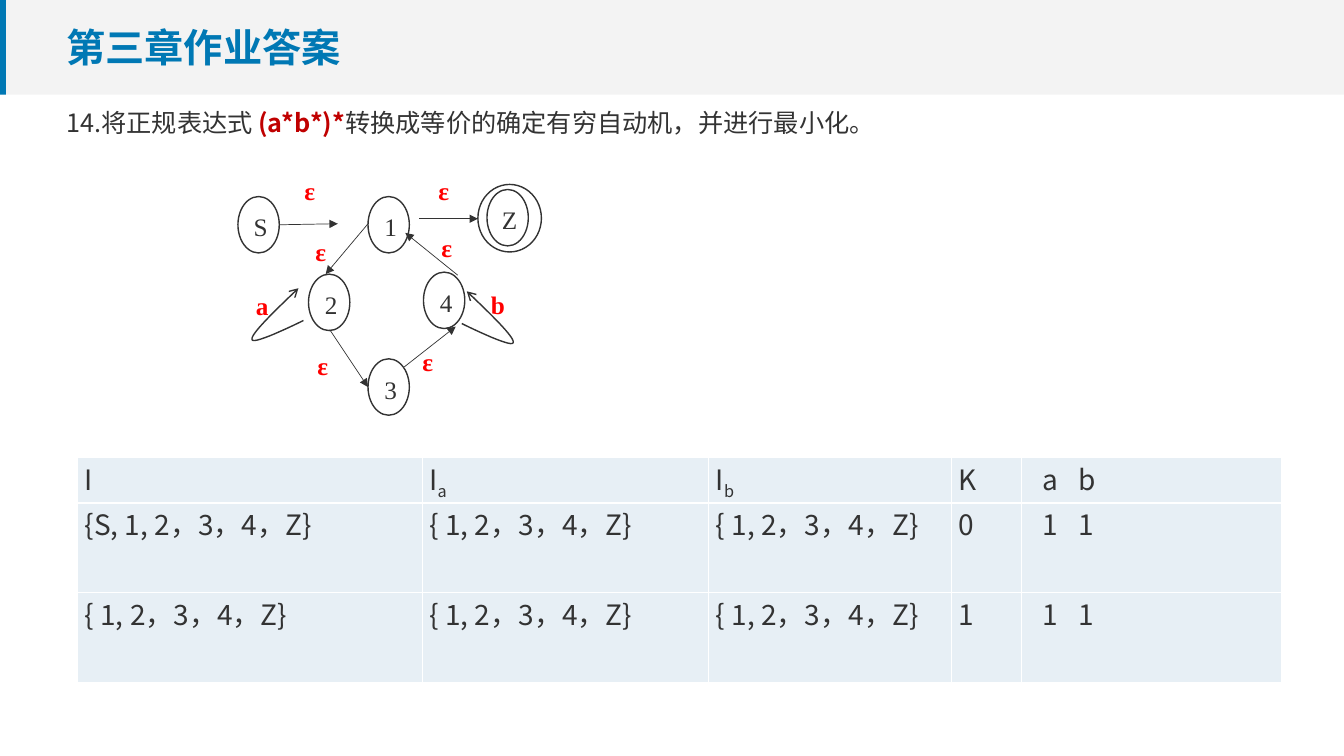
import pptx
import pptx.dml.color
import pptx.enum.shapes
import pptx.enum.text
import pptx.oxml
import pptx.oxml.ns
import pptx.util
from lxml import etree

# Content
TITLE = "第三章作业答案"
QUESTION = [("14.将正规表达式", "text", False),
            (" (a*b*)*", "formula", True),
            ("转换成等价的确定有穷自动机，并进行最小化。", "text", False)]
STATE_SIZE = (0.41, 0.56)
STATES = {"S": (2.36, 1.95), "1": (3.65, 1.95), "Z": (4.83, 1.88),
          "2": (3.06, 2.72), "4": (4.2, 2.7), "3": (3.65, 3.56)}
FINAL_RING = (4.74, 1.83, 0.63, 0.67)
ARROWS = [((2.77, 2.23), (3.35, 2.22)), ((4.16, 2.17), (4.74, 2.17)),
          ((3.65, 2.22), (3.23, 2.72)), ((3.27, 3.27), (3.65, 3.84)),
          ((4.01, 3.64), (4.52, 3.24)), ((4.54, 2.73), (4.02, 2.31))]
EDGE_LABELS = [("ε", 2.92, 1.69), ("ε", 4.25, 1.69), ("ε", 3.03, 2.3),
               ("ε", 3.05, 3.43), ("ε", 4.09, 3.39), ("ε", 4.28, 2.26),
               ("a", 2.44, 2.83), ("b", 4.77, 2.82)]
# Self-loops: start point and the side they bulge to (-1 left, 1 right)
LOOPS = [((2.96, 2.86), -1), ((4.63, 2.89), 1)]
LOOP_CURVES = [[(0, 0), (0.24, 0.23), (0.48, 0.46), (0.46, 0.51)],
               [(0.46, 0.51), (0.45, 0.57), (-0.05, 0.32), (-0.05, 0.32)]]
CURVE_STEPS = 16
SUBSET = "{ 1, 2，3，4，Z}"
TABLE = [["I", "I_a", "I_b", "K", "a\tb"],
         ["{S, 1, 2，3，4，Z}", SUBSET, SUBSET, "0", "1\t1"],
         [SUBSET, SUBSET, SUBSET, "1", "1\t1"]]
TABLE_LEFT, TABLE_TOP = 0.77, 4.54
COLUMN_WIDTHS = [3.42, 2.84, 2.41, 0.69, 2.58]
ROW_HEIGHTS = [0.45, 0.89, 0.89]
TARGET_INDENT, TARGET_TAB = 0.14, 0.69

COLORS = {"band": "F3F3F3", "accent": "0078B4", "text": "333333",
          "formula": "C00000", "label": "FF0000", "cell": "E7EFF5",
          "border": "FFFFFF"}
SANS, SERIF = "Noto Sans CJK SC", "Times New Roman"
WIDTH, HEIGHT, BAND_HEIGHT = 13.33, 7.5, 0.94

Inches, Pt = pptx.util.Inches, pptx.util.Pt
SHAPE = pptx.enum.shapes.MSO_SHAPE
ALIGN, ANCHOR = pptx.enum.text.PP_ALIGN, pptx.enum.text.MSO_ANCHOR


def color(name):
    return pptx.dml.color.RGBColor.from_string(COLORS[name])


def add_element(parent, tag, **attributes):
    return etree.SubElement(parent, pptx.oxml.ns.qn(tag), attributes)


def format_run(run, size, face, color_name, bold=False):
    run.font.size, run.font.bold = Pt(size), bold
    run.font.color.rgb = color(color_name)
    run.font.name = face
    add_element(run._r.get_or_add_rPr(), "a:ea", typeface=face)


def place(shape, left, top, width, height):
    shape.left, shape.top = Inches(left), Inches(top)
    shape.width, shape.height = Inches(width), Inches(height)


def add_box(slide, preset, box, fill=None):
    shape = slide.shapes.add_shape(preset, *map(Inches, box))
    shape.shadow.inherit = False
    if fill:
        shape.fill.solid()
        shape.fill.fore_color.rgb = color(fill)
        shape.line.fill.background()
    else:
        shape.fill.background()
        style_line(shape.line, 1)
    return shape


def style_line(line, width):
    line.color.rgb = color("text")
    line.width = Pt(width)


def add_header(slide):
    add_box(slide, SHAPE.RECTANGLE, (0, 0, WIDTH, BAND_HEIGHT), "band")
    add_box(slide, SHAPE.RECTANGLE, (0, 0, 0.06, BAND_HEIGHT), "accent")
    title, question = slide.shapes.title, slide.placeholders[1]
    for holder in (title, question):
        holder.element.getparent().append(holder.element)  # in front of the band
        holder.text_frame.auto_size = pptx.enum.text.MSO_AUTO_SIZE.NONE

    place(title, 0.56, 0.17, 10.21, 0.59)
    title.text_frame.text = TITLE
    title.text_frame.vertical_anchor = ANCHOR.MIDDLE
    paragraph = title.text_frame.paragraphs[0]
    paragraph.alignment = ALIGN.LEFT
    format_run(paragraph.runs[0], 28, SANS, "accent", True)

    place(question, 0.56, 1.01, 11.09, 0.71)
    paragraph = question.text_frame.paragraphs[0]
    properties = paragraph._p.get_or_add_pPr()
    properties.set("marL", "0")
    properties.set("indent", "0")
    add_element(properties, "a:buNone")
    paragraph.space_before = Pt(0)
    for text, color_name, bold in QUESTION:
        run = paragraph.add_run()
        run.text = text
        format_run(run, 18, SANS, color_name, bold)


def bezier(points, share):
    rest = 1 - share
    weights = (rest ** 3, 3 * rest ** 2 * share, 3 * rest * share ** 2, share ** 3)
    return [sum(w * p[axis] for w, p in zip(weights, points)) for axis in (0, 1)]


def add_loop(slide, start, side):
    points = [bezier(curve, step / CURVE_STEPS)
              for curve in LOOP_CURVES for step in range(1, CURVE_STEPS + 1)]
    builder = slide.shapes.build_freeform(*map(Inches, start))
    builder.add_line_segments([(Inches(start[0] + side * x), Inches(start[1] + y))
                               for x, y in points], close=False)
    shape = builder.convert_to_shape()
    shape.shadow.inherit = False
    shape.fill.background()
    style_line(shape.line, 1)
    add_element(shape.line._get_or_add_ln(), "a:headEnd", type="arrow")


def add_automaton(slide):
    # States
    add_box(slide, SHAPE.OVAL, FINAL_RING)
    for name, corner in STATES.items():
        frame = add_box(slide, SHAPE.OVAL, corner + STATE_SIZE).text_frame
        frame.margin_left = frame.margin_top = Inches(0.04)
        frame.margin_right = frame.margin_bottom = 0
        frame.word_wrap = False
        frame.vertical_anchor = ANCHOR.MIDDLE
        frame.text = name
        frame.paragraphs[0].alignment = ALIGN.CENTER
        format_run(frame.paragraphs[0].runs[0], 18, SERIF, "text")
    # Transitions
    for start, end in ARROWS:
        arrow = slide.shapes.add_connector(
            pptx.enum.shapes.MSO_CONNECTOR.STRAIGHT, *map(Inches, start + end))
        style_line(arrow.line, 0.5)
        add_element(arrow.line._get_or_add_ln(), "a:tailEnd", type="triangle")
        add_element(arrow._element.spPr, "a:effectLst")
    for start, side in LOOPS:
        add_loop(slide, start, side)
    for text, left, top in EDGE_LABELS:
        box = slide.shapes.add_textbox(*map(Inches, (left, top, 0.31, 0.4)))
        box.text_frame.text = text
        format_run(box.text_frame.paragraphs[0].runs[0], 18, SERIF, "label", True)


def fill_cell(cell, text):
    cell.fill.solid()
    cell.fill.fore_color.rgb = color("cell")
    cell.margin_left = cell.margin_right = Inches(0.07)
    cell.margin_top = cell.margin_bottom = 0
    paragraph = cell.text_frame.paragraphs[0]
    paragraph.alignment = ALIGN.JUSTIFY
    if "\t" in text:
        properties = paragraph._p.get_or_add_pPr()
        properties.set("indent", str(Inches(TARGET_INDENT)))
        stops = add_element(properties, "a:tabLst")
        add_element(stops, "a:tab", pos=str(Inches(TARGET_TAB)), algn="l")
    for index, part in enumerate(text.split("_")):
        run = paragraph.add_run()
        run.text = part
        format_run(run, 20, SANS, "text")
        if index:
            run._r.get_or_add_rPr().set("baseline", "-25000")
    properties = cell._tc.get_or_add_tcPr()
    for index, side in enumerate(("a:lnL", "a:lnR", "a:lnT", "a:lnB")):
        border = add_element(properties, side, w=str(Pt(1)))
        properties.insert(index, border)  # borders precede the fill
        add_element(add_element(border, "a:solidFill"), "a:srgbClr", val=COLORS["border"])


def add_subset_table(slide):
    table = slide.shapes.add_table(
        len(ROW_HEIGHTS), len(COLUMN_WIDTHS), Inches(TABLE_LEFT), Inches(TABLE_TOP),
        Inches(sum(COLUMN_WIDTHS)), Inches(sum(ROW_HEIGHTS))).table
    for column, width in zip(table.columns, COLUMN_WIDTHS):
        column.width = Inches(width)
    for row, height, texts in zip(table.rows, ROW_HEIGHTS, TABLE):
        row.height = Inches(height)
        for cell, text in zip(row.cells, texts):
            fill_cell(cell, text)


def main():
    presentation = pptx.Presentation()
    presentation.slide_width, presentation.slide_height = Inches(WIDTH), Inches(HEIGHT)
    slide = presentation.slides.add_slide(presentation.slide_layouts[1])
    add_header(slide)
    add_automaton(slide)
    add_subset_table(slide)
    presentation.save("out.pptx")


if __name__ == "__main__":
    main()
